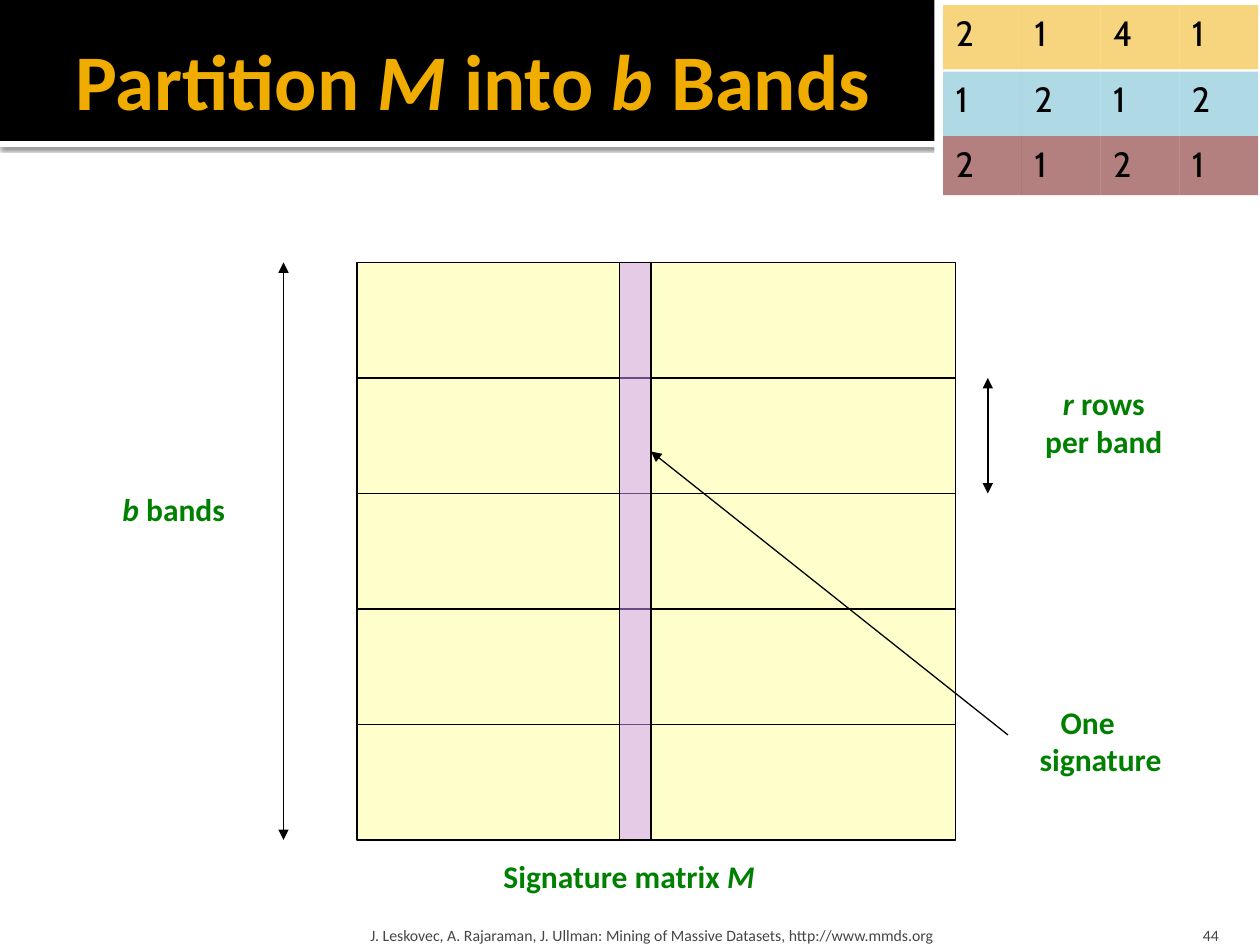
from dataclasses import dataclass

from lxml import etree
from pptx import Presentation
from pptx import util as u
from pptx.dml import color
from pptx.enum import shapes, text
from pptx.oxml import ns

LEFT, MID, RIGHT = text.PP_ALIGN.LEFT, text.PP_ALIGN.CENTER, text.PP_ALIGN.RIGHT
TOP, CORE, LOW = text.MSO_ANCHOR.TOP, text.MSO_ANCHOR.MIDDLE, text.MSO_ANCHOR.BOTTOM


@dataclass(frozen=True)
class Theme:
    font: str = "Calibri"
    digit: str = "Cabin"
    black: str = "000000"
    white: str = "FFFFFF"
    gold: str = "F0AD00"
    green: str = "008000"
    grey: str = "454545"
    sand: str = "FFFF99"
    lilac: str = "CC99FF"
    sky: str = "60B5CC"
    wine: str = "680000"
    head: float = 45
    label: float = 18
    cell: float = 20
    note: float = 9
    rule: float = 0.75


def rgb(code):
    return color.RGBColor.from_string(code)


def add(parent, tag, **attrs):
    return etree.SubElement(parent, ns.qn(tag), attrs)


def put(frame, copy, font, size, ink, bold=False, align=LEFT, anchor=TOP,
        pads=(7.2, 3.6, 7.2, 3.6), wrap=True, indent=0):
    frame.word_wrap = wrap
    frame.auto_size = text.MSO_AUTO_SIZE.NONE if wrap else text.MSO_AUTO_SIZE.SHAPE_TO_FIT_TEXT
    frame.vertical_anchor = anchor
    sides = [u.Pt(pad) for pad in pads]
    frame.margin_left, frame.margin_top, frame.margin_right, frame.margin_bottom = sides
    for row, line in enumerate(copy.split("\n")):
        para = frame.add_paragraph() if row else frame.paragraphs[0]
        para.alignment = align
        if indent and not row:
            para._p.get_or_add_pPr().set("marL", str(u.Pt(indent)))
        for part, words in enumerate(line.split("*")):
            if words:
                run = para.add_run()
                run.text = words
                face = run.font
                face.name, face.size = font, u.Pt(size)
                face.bold, face.italic = bold, part % 2 == 1
                face.color.rgb = rgb(ink)


class Page:
    def __init__(self, slide, theme):
        self.slide, self.theme = slide, theme

    def title(self, copy, *spot):
        t, shape = self.theme, self.slide.shapes.title
        shape.left, shape.top, shape.width, shape.height = map(u.Pt, spot)
        put(shape.text_frame, copy, t.font, t.head, t.gold, bold=True, anchor=CORE,
            pads=(7.2, 3.6, 3.6, 3.6))
        shape.element.getparent().append(shape.element)

    def box(self, fill, *spot, clear=False, edge=False):
        shape = self.slide.shapes.add_shape(shapes.MSO_SHAPE.RECTANGLE, *map(u.Pt, spot))
        shape.shadow.inherit = False
        shape.fill.solid()
        shape.fill.fore_color.rgb = rgb(fill)
        if clear:
            add(next(shape.element.iter(ns.qn("a:srgbClr"))), "a:alpha", val="50000")
        if edge:
            shape.line.color.rgb = rgb(self.theme.black)
            shape.line.width = u.Pt(self.theme.rule)
        else:
            shape.line.fill.background()
        return shape

    def shade(self, shape):
        list_ = shape.element.spPr.find(ns.qn("a:effectLst"))
        cast = add(list_, "a:outerShdw", blurRad=str(u.Pt(2.5)), dist=str(u.Pt(0.8)),
                   dir="5400000", algn="tl", rotWithShape="0")
        add(add(cast, "a:srgbClr", val=self.theme.black), "a:alpha", val="60000")

    def line(self, *ends, tips=()):
        link = self.slide.shapes.add_connector(shapes.MSO_CONNECTOR.STRAIGHT, *map(u.Pt, ends))
        link.line.color.rgb = rgb(self.theme.black)
        link.line.width = u.Pt(self.theme.rule)
        props = link.element.spPr
        for tip in tips:
            add(props.find(ns.qn("a:ln")), tip, type="triangle")
        add(props, "a:effectLst")

    def words(self, copy, *spot, **style):
        shape = self.slide.shapes.add_textbox(*map(u.Pt, spot))
        put(shape.text_frame, copy, self.theme.font, **style)

    def label(self, copy, *spot, align=MID, indent=0):
        self.words(copy, *spot, size=self.theme.label, ink=self.theme.green, bold=True,
                   align=align, wrap=False, indent=indent)

    def note(self, copy, *spot, align=LEFT, side=3.6):
        self.words(copy, *spot, size=self.theme.note, ink=self.theme.grey, align=align,
                   anchor=LOW, pads=(side, 3.6, side, 0))

    def cells(self, digits, fill, left, top, wide, high):
        t = self.theme
        for col, digit in enumerate(digits):
            shape = self.box(fill, left + col * wide, top, wide, high, clear=True)
            put(shape.text_frame, digit, t.digit, t.cell, t.black)


def main():
    deck = Presentation()
    deck.slide_width, deck.slide_height = u.Pt(720), u.Pt(540)
    t = Theme()
    page = Page(deck.slides.add_slide(deck.slide_layouts[5]), t)
    both = ("a:headEnd", "a:tailEnd")

    page.shade(page.box(t.white, 0, 80.5, 720, 3.6))
    page.box(t.black, 0, 0, 720, 80.5)
    page.title("Partition *M* into *b* Bands", 36, 6, 648, 78)
    page.note("J. Leskovec, A. Rajaraman, J. Ullman: Mining of Massive Datasets, http://www.mmds.org",
              208, 518.4, 433.5, 21.6)
    page.note("44", 646, 518.4, 57.6, 21.6, align=RIGHT, side=7.2)

    left, top, wide, band, count = 204, 150, 342, 66, 5
    high = band * count
    page.box(t.sand, left, top, wide, high, clear=True, edge=True)
    for step in range(1, count):
        page.line(left, top + step * band, left + wide, top + step * band)
    page.label("Signature matrix *M*", 275, 486, 169, 29)
    page.label("*r* rows\nper band", 589, 216, 83.5, 51)
    page.line(564.5, top + band, 564.5, top + 2 * band, tips=both)
    page.line(162, top, 162, top + high, tips=both)
    page.label("*b* bands", 60, 276.5, 78.5, 29)
    page.box(t.lilac, 354, top, 18, high, clear=True, edge=True)
    page.line(576, 420, 372, 258, tips=both[1:])
    page.label("One\nsignature", 587, 398, 88, 50.5, align=LEFT, indent=12)

    page.box(t.white, 534, 0, 186, 114)
    for digits, fill, y, tall in (("2121", t.wine, 77.75, 33.75),
                                  ("2141", t.gold, 3, 36.75),
                                  ("1212", t.sky, 41, 36.75)):
        page.cells(digits, fill, 539, y, 45, tall)
    deck.save("out.pptx")


if __name__ == "__main__":
    main()
